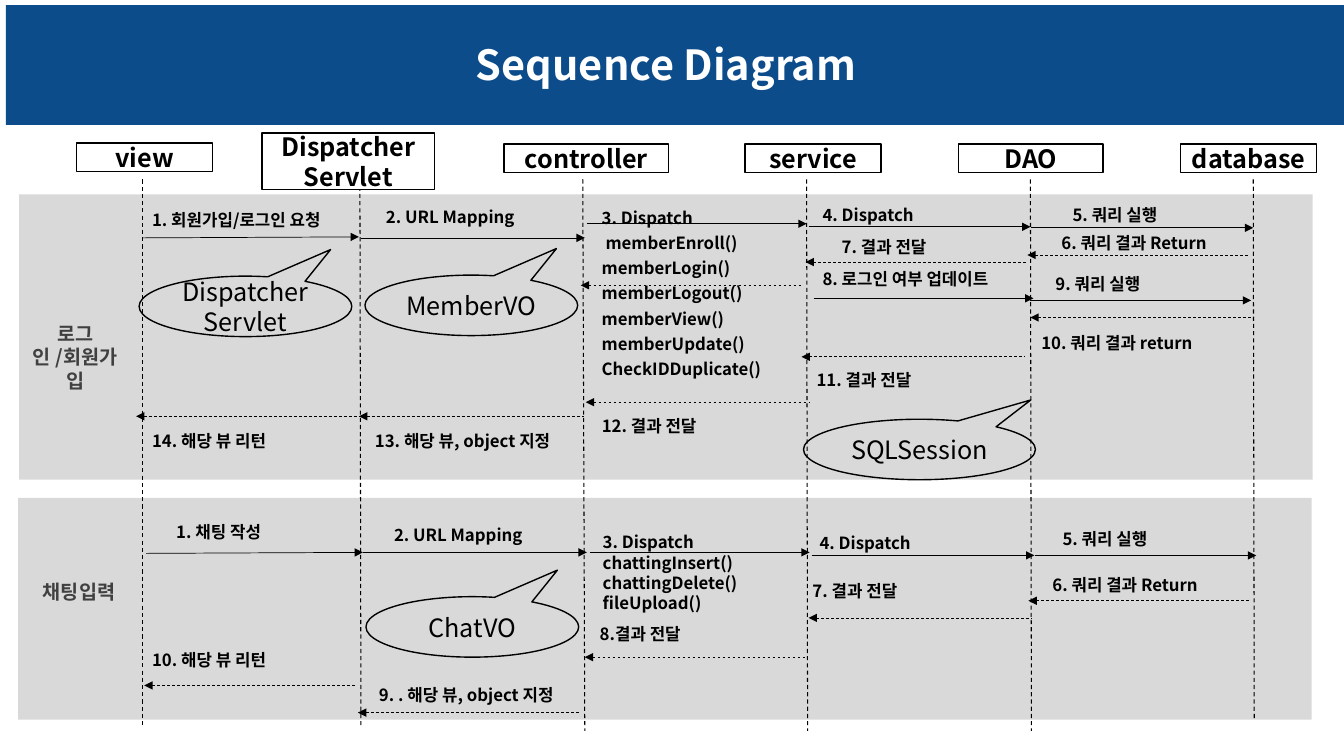
from lxml import etree
from pptx import Presentation
from pptx import util as u
from pptx.dml.color import RGBColor
from pptx.enum import dml, shapes, text
from pptx.oxml.ns import qn


def rgb(value):
    return RGBColor.from_string(value)


class SequenceSlide:
    """Holds the style and the slide being drawn."""
    font = "Noto Sans CJK KR"
    black, white, grey, dark, blue = "000000", "FFFFFF", "D9D9D9", "404040", "0C4C8A"

    def __init__(self, slide):
        self.shapes = slide.shapes

    def fill_text(self, sp, lines, size, color=black, bold=True, center=False,
                  middle=False, inset=0.1, spacing=None):
        tf = sp.text_frame
        frame = {"word_wrap": True, "margin_left": u.Inches(inset), "margin_right": u.Inches(inset),
                 "vertical_anchor": text.MSO_ANCHOR.MIDDLE if middle else text.MSO_ANCHOR.TOP}
        for name, value in frame.items():
            setattr(tf, name, value)
        for i, line in enumerate(lines):
            p = tf.paragraphs[0] if i == 0 else tf.add_paragraph()
            p.alignment = text.PP_ALIGN.CENTER if center else text.PP_ALIGN.LEFT
            p.line_spacing = spacing
            for j, part in enumerate(line.split("\v")):
                if j:
                    p.add_line_break()
                r = p.add_run()
                r.text = part
                for name, value in {"name": self.font, "size": u.Pt(size), "bold": bold}.items():
                    setattr(r.font, name, value)
                r.font.color.rgb = rgb(color)
                etree.SubElement(r._r.get_or_add_rPr(), qn("a:ea"), typeface=self.font)

    def shape(self, kind, x, y, w, h, fill=None, outlined=False):
        sp = self.shapes.add_shape(kind, *map(u.Inches, (x, y, w, h)))
        sp.shadow.inherit = False
        if fill:
            sp.fill.solid()
            sp.fill.fore_color.rgb = rgb(fill)
        else:
            sp.fill.background()
        if outlined:
            sp.line.color.rgb = rgb(self.black)
            sp.line.width = u.Pt(1)
        else:
            sp.line.fill.background()
        return sp

    def band(self, x, y, w, h, fill):
        self.shape(shapes.MSO_SHAPE.RECTANGLE, x, y, w, h, fill)

    def participant(self, name, x, y, w, h):
        sp = self.shape(shapes.MSO_SHAPE.RECTANGLE, x, y, w, h, self.white, True)
        self.fill_text(sp, [name], 18, center=True, middle=True, inset=0.05)

    def callout(self, name, x, y, w, tip):
        sp = self.shape(shapes.MSO_SHAPE.OVAL_CALLOUT, x, y, w, 0.6, outlined=True)
        sp.adjustments[0], sp.adjustments[1] = tip
        self.fill_text(sp, [name], 18, bold=False, center=True, middle=True, inset=0.05)

    def label(self, lines, x, y, w, h, size=12, grow=True, **style):
        sp = self.shapes.add_textbox(*map(u.Inches, (x, y, w, h)))
        self.fill_text(sp, lines, size, **style)
        if grow:
            sp.text_frame.auto_size = text.MSO_AUTO_SIZE.SHAPE_TO_FIT_TEXT

    def line(self, x1, y1, x2, y2, width=0.5, dashed=False, end=None):
        sp = self.shapes.add_connector(shapes.MSO_CONNECTOR.STRAIGHT, *map(u.Inches, (x1, y1, x2, y2)))
        sp.line.color.rgb = rgb(self.black)
        sp.line.width = u.Pt(width)
        if dashed:
            sp.line.dash_style = dml.MSO_LINE.DASH
        sp_pr = sp._element.spPr
        if end:
            etree.SubElement(sp_pr.find(qn("a:ln")), qn(end), type="triangle")
        etree.SubElement(sp_pr, qn("a:effectLst"))

    def call(self, x1, x2, y1, y2=None):
        self.line(x1, y1, x2, y2 or y1, end="a:tailEnd")

    def reply(self, x1, x2, y):
        self.line(x1, y, x2, y, dashed=True, end="a:headEnd")


def main():
    prs = Presentation()
    prs.slide_width, prs.slide_height = u.Inches(13.33), u.Inches(7.5)
    s = SequenceSlide(prs.slides.add_slide(prs.slide_layouts[6]))

    # Title bar and the two scenario bands
    s.band(0.06, 0.05, 13.33, 1.19, s.blue)
    s.band(0.19, 1.93, 12.83, 2.83, s.grey)
    s.band(0.18, 4.94, 12.83, 2.2, s.grey)
    s.label(["Sequence Diagram"], 3.36, 0.46, 6.5, 0.47, 29.6, grow=False,
            color=s.white, center=True, middle=True, spacing=0.7)
    s.label(["로그인 /회원가입"], 0.2, 3.14, 1.09, 0.57, 14, color=s.dark, center=True)
    s.label(["채팅입력"], 0.25, 5.7, 1.07, 0.34, 14, color=s.dark, center=True)

    # Participants: name, box, lifeline top x, bottom x, bottom y
    for name, box, x1, x2, bottom in [
        ("view", (0.76, 1.42, 1.35, 0.28), 1.41, 1.41, 7.22),
        ("Dispatcher Servlet", (2.6, 1.32, 1.71, 0.56), 3.57, 3.58, 7.22),
        ("controller", (5, 1.43, 1.63, 0.28), 5.78, 5.8, 7.25),
        ("service", (7.39, 1.43, 1.35, 0.28), 8, 8.01, 7.25),
        ("DAO", (9.51, 1.43, 1.43, 0.28), 10.22, 10.23, 7.25),
        ("database", (11.71, 1.43, 1.35, 0.28), 12.43, 12.44, 7.14),
    ]:
        s.line(x1, 1.78, x2, bottom, 0.75, dashed=True)
        s.participant(name, *box)

    # Calls, login band then chat band
    for ends in [
        (1.41, 3.56, 2.36, 2.35), (3.58, 5.8, 2.36), (5.82, 8, 2.22), (8.02, 10.22, 2.25),
        (10.23, 12.43, 2.26), (8.07, 10.25, 2.96), (10.22, 12.41, 2.98),
        (1.45, 3.6, 5.49, 5.48), (3.6, 5.82, 5.48), (5.85, 8.03, 5.48),
        (8.05, 10.26, 5.51), (10.27, 12.46, 5.51),
    ]:
        s.call(*ends)

    # Replies, login band then chat band
    for ends in [
        (10.19, 12.38, 2.53), (7.99, 10.19, 2.6), (5.76, 7.96, 2.83), (10.22, 12.44, 3.15),
        (7.95, 10.17, 3.54), (5.81, 8.03, 3.99), (3.56, 5.79, 4.13), (1.35, 3.58, 4.13),
        (10.2, 12.4, 5.96), (8.02, 10.24, 6.13), (5.8, 8, 6.52), (3.55, 5.76, 7.07),
        (1.43, 3.54, 6.8),
    ]:
        s.reply(*ends)

    # One-line message labels
    for message, x, y, w in [
        ("2. URL Mapping", 3.73, 2, 1.99), ("6. 쿼리 결과 Return", 10.43, 2.26, 1.74),
        ("7. 결과 전달", 8.25, 2.3, 1.74), ("8. 로그인 여부 업데이트", 8.06, 2.62, 2.05),
        ("10. 쿼리 결과 return", 10.23, 3.25, 2.31), ("11. 결과 전달", 8, 3.62, 2.31),
        ("12. 결과 전달", 5.87, 4.08, 2.31), ("13. 해당 뷰, object 지정", 3.62, 4.22, 2.31),
        ("14. 해당 뷰 리턴", 1.41, 4.22, 2.31),
        ("1. 채팅 작성", 1.65, 5.13, 1.87), ("2. URL Mapping", 3.81, 5.16, 1.8),
        ("4. Dispatch", 8.03, 5.24, 2.31), ("5. 쿼리 실행", 10.44, 5.2, 1.74),
        ("6. 쿼리 결과 Return", 10.34, 5.65, 1.74), ("7. 결과 전달", 7.96, 5.71, 2.31),
        ("8.결과 전달", 5.85, 6.14, 1.74), ("9. . 해당 뷰, object 지정", 3.66, 6.74, 2.09),
        ("10. 해당 뷰 리턴", 1.41, 6.4, 2.31),
    ]:
        s.label([message], x, y, w, 0.3)

    # Labels with wider line spacing, and the method lists
    fixed = u.Pt(18)
    s.label(["1. 회원가입/로그인 요청"], 1.41, 1.98, 2.16, 0.35, spacing=fixed)
    s.label(["4. Dispatch"], 8.06, 1.93, 2.31, 0.33, spacing=fixed)
    s.label(["5. 쿼리 실행"], 10.54, 1.88, 1.74, 0.4, spacing=1.5)
    s.label(["9. 쿼리 실행"], 10.37, 2.57, 1.74, 0.4, spacing=1.5)
    s.label(["3. Dispatch", " memberEnroll()", "memberLogin()", "memberLogout()", "memberView()",
             "memberUpdate()", "CheckIDDuplicate()"], 5.87, 1.96, 2.1, 2.12, spacing=fixed)
    s.label(["3. Dispatch", "chattingInsert()", "chattingDelete()", "fileUpload()"],
            5.88, 5.23, 2.1, 0.91)

    # Data objects
    tip = (0.4, -0.94)
    s.callout("Dispatcher\vServlet", 1.38, 2.74, 2.11, tip)
    s.callout("MemberVO", 3.62, 2.73, 2.11, tip)
    s.callout("ChatVO", 3.63, 5.92, 2.11, tip)
    s.callout("SQLSession", 7.97, 4.16, 2.3, (0.48, -0.82))

    prs.save("out.pptx")


if __name__ == "__main__":
    main()
